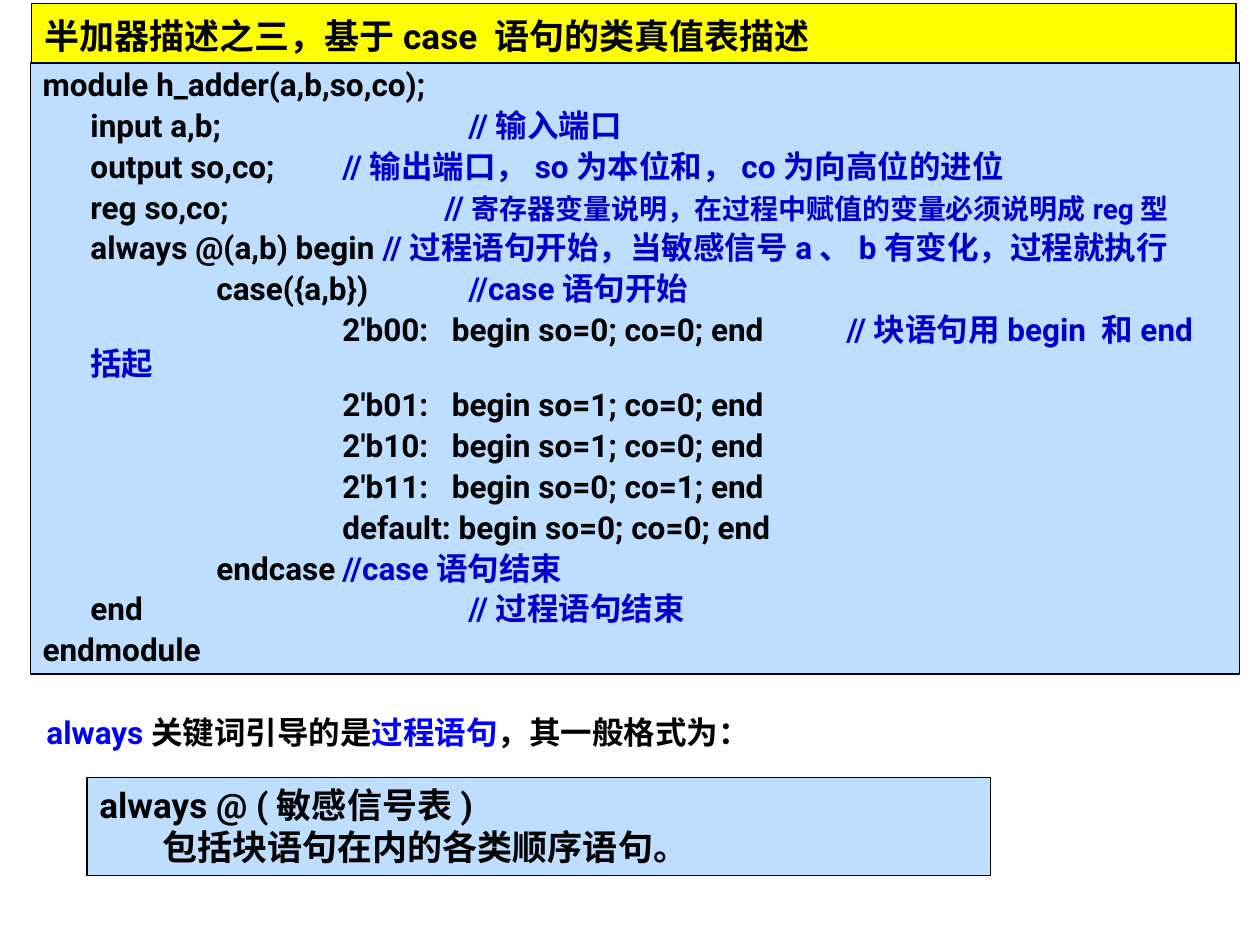
"""Build the half-adder case-statement slide."""
from typing import NamedTuple

import pptx
import pptx.dml.color
import pptx.enum.shapes
import pptx.enum.text
import pptx.util
from pptx.util import Inches

BLACK = pptx.dml.color.RGBColor(0x00, 0x00, 0x00)
YELLOW = pptx.dml.color.RGBColor(0xFF, 0xFF, 0x00)
PALE_BLUE = pptx.dml.color.RGBColor(0xBD, 0xDE, 0xFF)
COMMENT_BLUE = pptx.dml.color.RGBColor(0x00, 0x00, 0xCC)
KEYWORD_BLUE = pptx.dml.color.RGBColor(0x00, 0x00, 0xFF)
FONT = "Roboto"


class Span(NamedTuple):
    text: str
    color: pptx.dml.color.RGBColor = BLACK
    size: float = 18


class Box(NamedTuple):
    left: float
    top: float
    width: float
    height: float


def code(statement: str, comment: str = "") -> list[Span]:
    spans = [Span(statement)]
    if comment:
        spans.append(Span(comment, COMMENT_BLUE))
    return spans


CODE_LINES = [
    code("module h_adder(a,b,so,co);"),
    code("\tinput a,b;\t\t", "//输入端口"),
    code("\toutput so,co;\t", "//输出端口，so为本位和，co为向高位的进位"),
    code("\treg so,co;\t", "             //")
    + [Span("寄存器变量说明，在过程中赋值的变量必须说明成reg型", COMMENT_BLUE, 16)],
    code("\talways @(a,b) begin ", "//过程语句开始，当敏感信号a、b有变化，过程就执行"),
    code("\t\tcase({a,b})\t", "//case语句开始"),
    code("\t\t\t2'b00:   begin so=0; co=0; end\t", "//块语句用begin 和end 括起"),
    code("\t\t\t2'b01:   begin so=1; co=0; end"),
    code("\t\t\t2'b10:   begin so=1; co=0; end"),
    code("\t\t\t2'b11:   begin so=0; co=1; end"),
    code("\t\t\tdefault: begin so=0; co=0; end"),
    code("\t\tendcase\t", "//case语句结束"),
    code("\tend\t\t\t", "//过程语句结束"),
    code("endmodule"),
]

SYNTAX_LINES = [
    [Span("always @ (敏感信号表)", size=20)],
    [Span("包括块语句在内的各类顺序语句。", size=20)],
]

INTRO = [
    Span("always", KEYWORD_BLUE),
    Span("关键词引导的是"),
    Span("过程语句", KEYWORD_BLUE),
    Span("，其一般格式为："),
]


def place(shape, box: Box) -> None:
    shape.left, shape.top, shape.width, shape.height = map(Inches, box)


def paint(shape, color: pptx.dml.color.RGBColor) -> None:
    shape.fill.solid()
    shape.fill.fore_color.rgb = color
    shape.line.color.rgb = BLACK
    shape.line.width = pptx.util.Pt(0.75)


def write(frame, lines: list[list[Span]]) -> None:
    for number, spans in enumerate(lines):
        paragraph = frame.add_paragraph() if number else frame.paragraphs[0]
        paragraph.alignment = pptx.enum.text.PP_ALIGN.LEFT
        for span in spans:
            run = paragraph.add_run()
            run.text = span.text
            run.font.name = FONT
            run.font.size = pptx.util.Pt(span.size)
            run.font.bold = True
            run.font.color.rgb = span.color


def add_panel(slide, box: Box, lines: list[list[Span]]):
    panel = slide.shapes.add_shape(
        pptx.enum.shapes.MSO_SHAPE.RECTANGLE, *map(Inches, box)
    )
    panel.shadow.inherit = False
    paint(panel, PALE_BLUE)
    panel.text_frame.word_wrap = True
    panel.text_frame.vertical_anchor = pptx.enum.text.MSO_ANCHOR.TOP
    write(panel.text_frame, lines)
    return panel.text_frame


def format_code(frame) -> None:
    for number, paragraph in enumerate(frame.paragraphs):
        paragraph.line_spacing = 0.9
        paragraph.space_before = pptx.util.Pt(3.9 if number else 0)
        properties = paragraph._p.get_or_add_pPr()
        properties.set("marL", str(Inches(0.38)))
        properties.set("indent", str(Inches(-0.38)))
        properties.set("defTabSz", str(Inches(1)))


def main() -> None:
    presentation = pptx.Presentation()
    presentation.slide_width = Inches(10)
    presentation.slide_height = Inches(7.5)
    slide = presentation.slides.add_slide(presentation.slide_layouts[5])

    title = slide.shapes.title
    place(title, Box(0.25, 0.03, 9.56, 0.47))
    paint(title, YELLOW)
    title.text_frame.vertical_anchor = pptx.enum.text.MSO_ANCHOR.BOTTOM
    title.text_frame.auto_size = pptx.enum.text.MSO_AUTO_SIZE.NONE
    write(title.text_frame, [[Span("半加器描述之三，基于case 语句的类真值表描述", size=20)]])

    syntax = add_panel(slide, Box(0.69, 6.17, 7.17, 0.78), SYNTAX_LINES)
    syntax.auto_size = pptx.enum.text.MSO_AUTO_SIZE.SHAPE_TO_FIT_TEXT
    syntax.paragraphs[1]._p.get_or_add_pPr().set("marL", str(Inches(0.5)))

    intro = slide.shapes.add_textbox(*map(Inches, Box(0.27, 5.61, 5.85, 0.4)))
    intro.text_frame.word_wrap = False
    intro.text_frame.auto_size = pptx.enum.text.MSO_AUTO_SIZE.SHAPE_TO_FIT_TEXT
    write(intro.text_frame, [INTRO])

    format_code(add_panel(slide, Box(0.24, 0.5, 9.6, 4.85), CODE_LINES))
    presentation.save("out.pptx")


if __name__ == "__main__":
    main()
